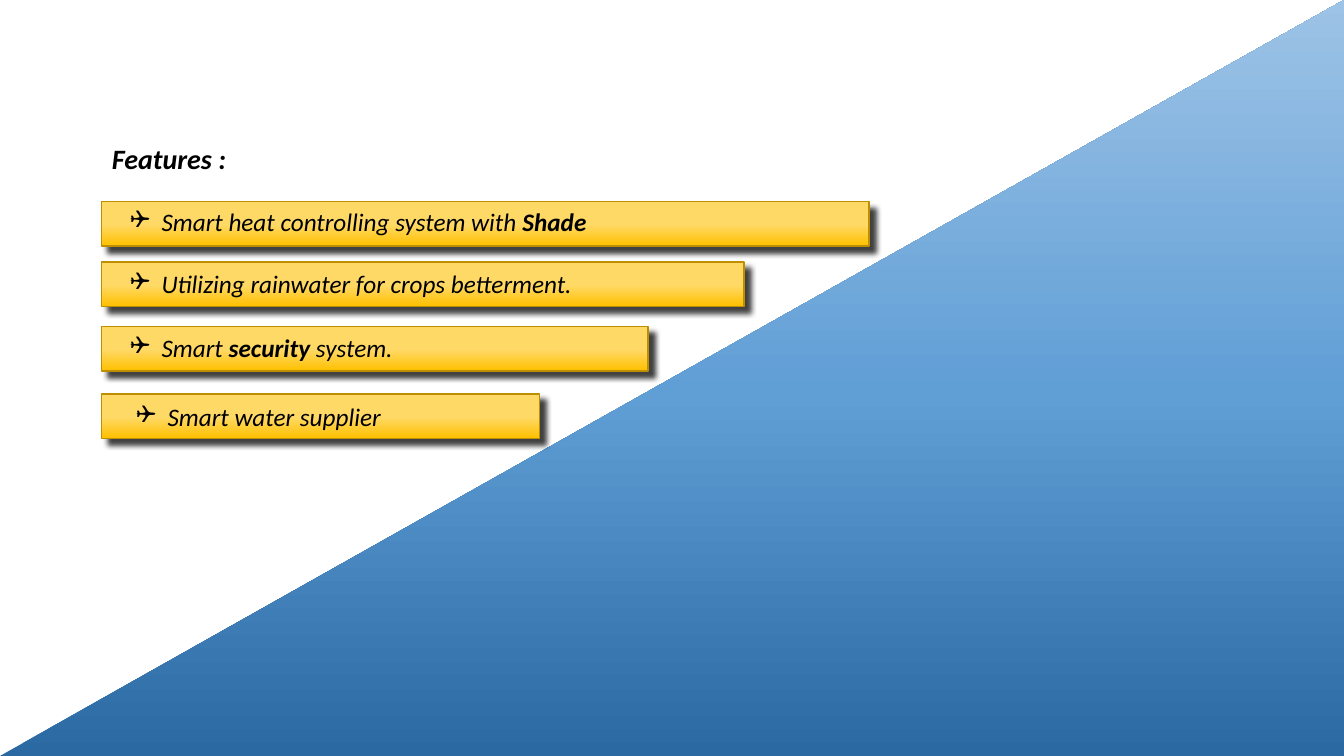
from copy import deepcopy
from dataclasses import dataclass

from lxml import etree
from pptx import Presentation
from pptx.dml.color import RGBColor
from pptx.enum.shapes import MSO_SHAPE
from pptx.enum.text import MSO_ANCHOR, MSO_AUTO_SIZE, PP_ALIGN
from pptx.oxml import parse_xml
from pptx.oxml.ns import nsdecls, qn
from pptx.util import Pt

RECTANGLE = MSO_SHAPE.RECTANGLE
RIGHT_TRIANGLE = MSO_SHAPE.RIGHT_TRIANGLE
TOP = MSO_ANCHOR.TOP
NO_AUTOFIT = MSO_AUTO_SIZE.NONE
JUSTIFY = PP_ALIGN.JUSTIFY
LEFT = PP_ALIGN.LEFT

COLOURS = {
    "text": "000000", "outline": "BD8E00", "shadow": "000000",
    "blue_dark": "2A69A2", "blue": "609ED6", "blue_light": "9DC3E6",
    "gold": "FFC000", "gold_light": "FFD966",
}
BLUE_GRADIENT = ("blue_dark", "blue", "blue_light")
GOLD_GRADIENT = ("gold", "gold_light", "gold_light")
STOP_POSITIONS = (0, 0.48, 1)

SLIDE_WIDTH, SLIDE_HEIGHT = 960, 540
BAR_LEFT, BAR_HEIGHT = 72.72, 31.68
BULLET_INDENT = 22.5


@dataclass
class Feature:
    bar_top: float
    bar_width: float
    space_before: float
    extra_indent: float
    runs: tuple[tuple[str, bool], ...]  # wording, bold


FEATURES = (
    Feature(144, 547.92, 0, 0,
            (("Smart heat controlling system with ", False), ("Shade", True))),
    Feature(187.2, 458.64, 22.7, 0,
            (("Utilizing rainwater for crops betterment.", False),)),
    Feature(233.28, 390.24, 23.6, 0,
            (("Smart ", False), ("security", True), (" system.", False))),
    Feature(281.52, 312.48, 28.1, 4.3, (("Smart water supplier", False),)),
)


def colour(name: str) -> RGBColor:
    return RGBColor.from_string(COLOURS[name])


def set_attributes(target, values: dict) -> None:
    for name, value in values.items():
        setattr(target, name, value)


def place(shape, left: float, top: float, width: float, height: float) -> None:
    set_attributes(shape, {"left": Pt(left), "top": Pt(top),
                           "width": Pt(width), "height": Pt(height)})


def add_gradient_shape(slide, kind, left: float, top: float, width: float,
                       height: float, gradient: tuple[str, ...]):
    shape = slide.shapes.add_shape(kind, Pt(left), Pt(top), Pt(width), Pt(height))
    shape.shadow.inherit = False
    shape.fill.gradient()
    shape.fill.gradient_angle = 90
    stop_list = shape._element.spPr.find(qn("a:gradFill")).find(qn("a:gsLst"))
    stop_list.append(deepcopy(stop_list[-1]))
    for stop, position, name in zip(shape.fill.gradient_stops, STOP_POSITIONS, gradient):
        stop.position = position
        stop.color.rgb = colour(name)
    return shape


def add_shadow(shape) -> None:
    effects = shape._element.spPr.find(qn("a:effectLst"))
    effects.append(parse_xml(
        f'<a:outerShdw {nsdecls("a")} blurRad="{Pt(4)}" dist="{Pt(6)}" '
        f'dir="2700000" algn="tl" rotWithShape="0">'
        f'<a:srgbClr val="{COLOURS["shadow"]}"><a:alpha val="75000"/></a:srgbClr>'
        f'</a:outerShdw>'))


def add_run(paragraph, text: str, size: float, bold: bool) -> None:
    run = paragraph.add_run()
    run.text = text
    set_attributes(run.font, {"name": "Calibri", "size": Pt(size),
                              "bold": bold, "italic": True})
    run.font.color.rgb = colour("text")


def format_frame(frame) -> None:
    set_attributes(frame, {"word_wrap": True, "auto_size": NO_AUTOFIT,
                           "vertical_anchor": TOP})


def add_bullet(paragraph, extra_indent: float) -> None:
    properties = paragraph._p.get_or_add_pPr()
    properties.set("marL", str(Pt(BULLET_INDENT + extra_indent)))
    properties.set("indent", str(Pt(-BULLET_INDENT)))
    etree.SubElement(properties, qn("a:buFont"), typeface="Wingdings")
    etree.SubElement(properties, qn("a:buChar"), char="❑")


def add_bar(slide, feature: Feature) -> None:
    bar = add_gradient_shape(slide, RECTANGLE, BAR_LEFT, feature.bar_top,
                             feature.bar_width, BAR_HEIGHT, GOLD_GRADIENT)
    bar.line.color.rgb = colour("outline")
    bar.line.width = Pt(1)
    add_shadow(bar)


def fill_heading(title) -> None:
    place(title, BAR_LEFT, 97.2, 131.04, 31.68)
    format_frame(title.text_frame)
    paragraph = title.text_frame.paragraphs[0]
    paragraph.alignment = JUSTIFY
    add_run(paragraph, "Features :", 20, True)


def fill_list(body) -> None:
    place(body, 85.68, 144, 530.64, 170)
    frame = body.text_frame
    format_frame(frame)
    for index, feature in enumerate(FEATURES):
        paragraph = frame.add_paragraph() if index else frame.paragraphs[0]
        set_attributes(paragraph, {"alignment": LEFT, "line_spacing": 1.0,
                                   "space_before": Pt(feature.space_before),
                                   "space_after": Pt(0)})
        add_bullet(paragraph, feature.extra_indent)
        for text, bold in feature.runs:
            add_run(paragraph, text, 18, bold)


def main() -> None:
    presentation = Presentation()
    set_attributes(presentation, {"slide_width": Pt(SLIDE_WIDTH),
                                  "slide_height": Pt(SLIDE_HEIGHT)})
    slide = presentation.slides.add_slide(presentation.slide_layouts[1])
    title, body = slide.placeholders

    # Blue corner
    corner = add_gradient_shape(slide, RIGHT_TRIANGLE, 0, 0, SLIDE_WIDTH,
                                SLIDE_HEIGHT, BLUE_GRADIENT)
    corner.line.fill.background()
    corner._element.spPr.find(qn("a:xfrm")).set("flipH", "1")

    # Gold bars
    for feature in FEATURES:
        add_bar(slide, feature)

    # Heading and list, in front of the bars
    fill_heading(title)
    fill_list(body)
    for placeholder in (title, body):
        slide.shapes._spTree.append(placeholder._element)

    presentation.save("out.pptx")


if __name__ == "__main__":
    main()
